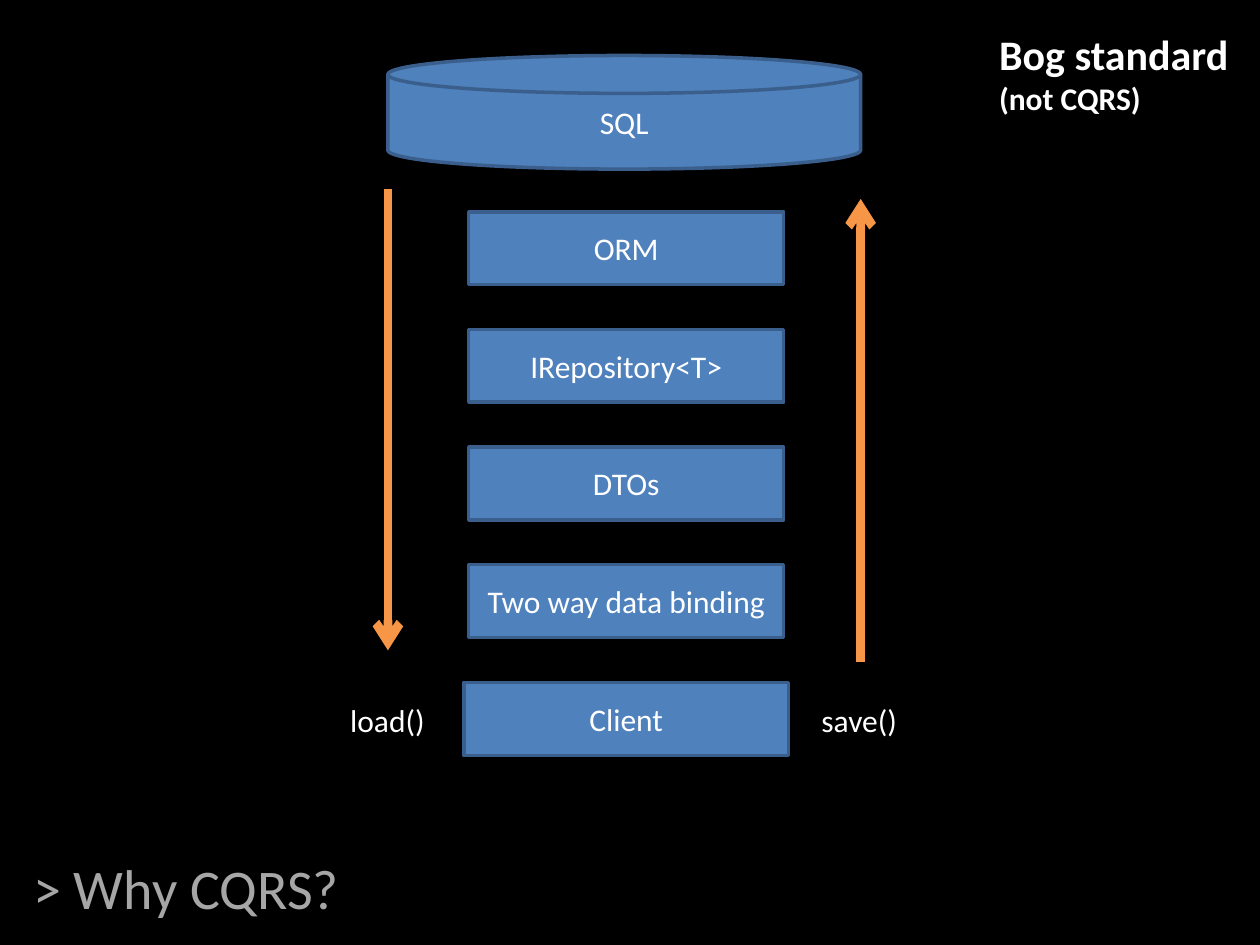
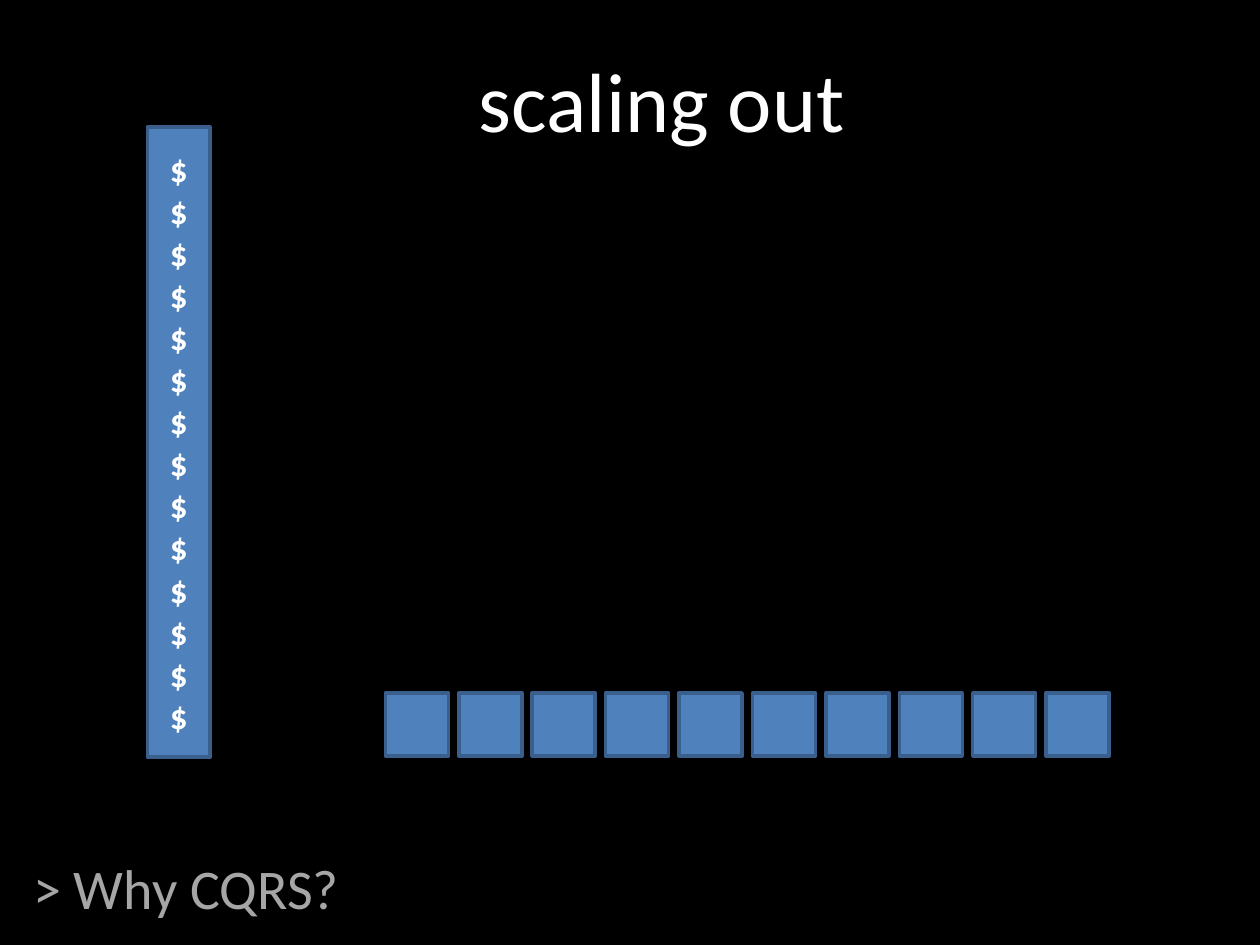
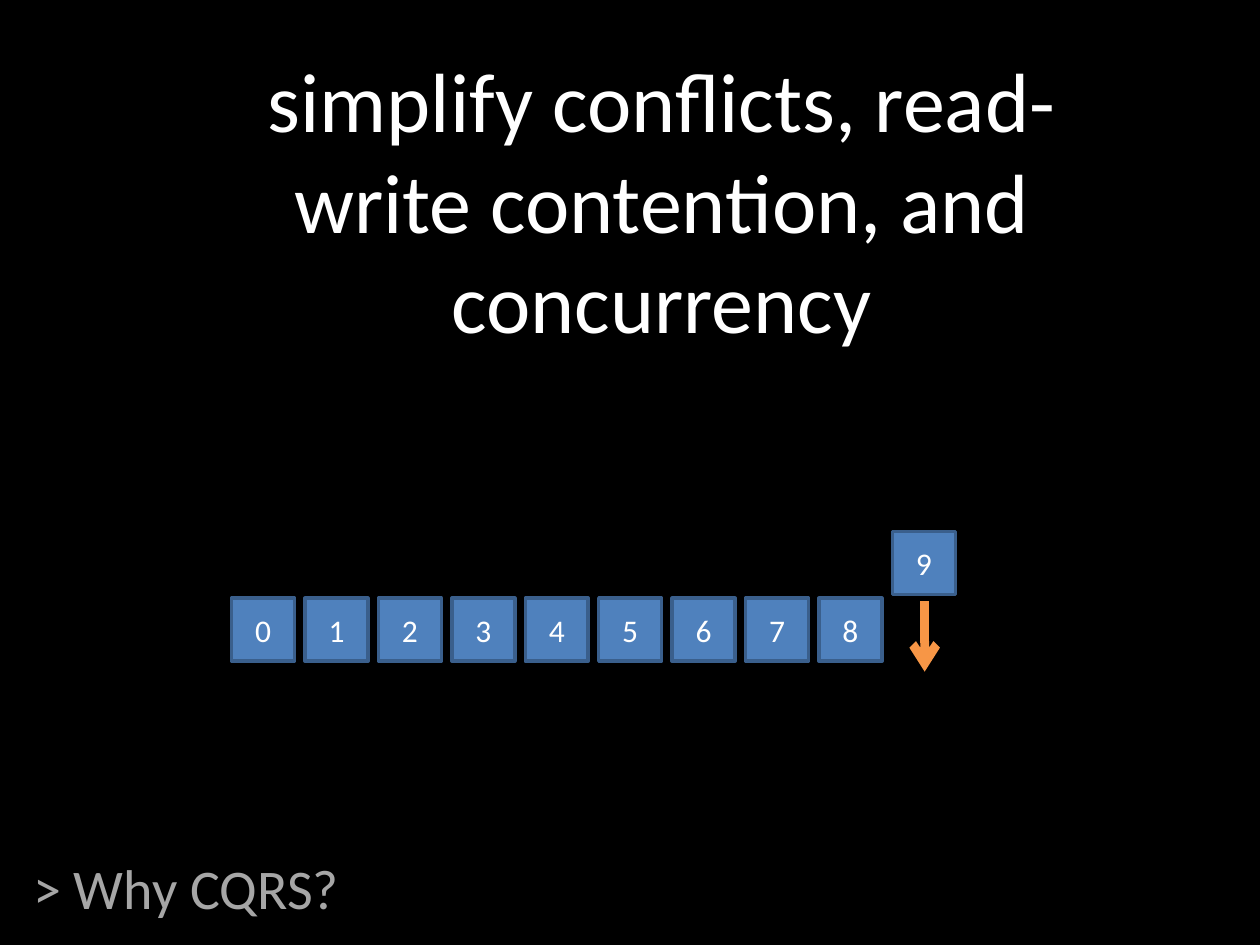
"""Build three slides on why CQRS helps."""
from lxml import etree
from pptx import Presentation
from pptx.dml.color import RGBColor
from pptx.enum.shapes import MSO_CONNECTOR, MSO_SHAPE
from pptx.enum.text import MSO_ANCHOR, MSO_AUTO_SIZE, PP_ALIGN
from pptx.oxml.ns import qn
from pptx.util import Cm, Pt

RECT = MSO_SHAPE.RECTANGLE
DISK = MSO_SHAPE.FLOWCHART_MAGNETIC_DISK
STRAIGHT = MSO_CONNECTOR.STRAIGHT
MIDDLE = MSO_ANCHOR.MIDDLE
GROW = MSO_AUTO_SIZE.SHAPE_TO_FIT_TEXT
LEFT, CENTER = PP_ALIGN.LEFT, PP_ALIGN.CENTER
TITLE_ONLY = 5

FONT = "Calibri"
BLACK, WHITE, GREY = "000000", "FFFFFF", "A6A6A6"
BLUE, NAVY, ORANGE = "4F81BD", "3A5F8C", "F79646"
SQUARE, PITCH = 1.27, 1.48


def rgb(value):
    """Turn a hex string into a colour."""
    return RGBColor.from_string(value)


class Deck:
    """Hold the style and the current slide."""

    def __init__(self):
        """Start a 4:3 deck with a black background."""
        self.prs = Presentation()
        self.prs.slide_width, self.prs.slide_height = Cm(25.4), Cm(19.05)
        fill = self.prs.slide_master.background.fill
        fill.solid()
        fill.fore_color.rgb = rgb(BLACK)

    def slide(self, title):
        """Add a slide with its title along the bottom."""
        self.s = self.prs.slides.add_slide(self.prs.slide_layouts[TITLE_ONLY])
        sp = self.s.shapes.title
        sp.left, sp.top, sp.width, sp.height = Cm(0.42), Cm(16.93), Cm(24.56), Cm(1.9)
        sp.text_frame.vertical_anchor = MIDDLE
        self.set_text(sp.text_frame, title, [32], GREY, LEFT)

    def set_text(self, tf, text, sizes, color=WHITE, align=CENTER, bold=False):
        """Fill a frame; the last size serves all further paragraphs."""
        tf.text = text
        for i, p in enumerate(tf.paragraphs):
            p.alignment = align
            for r in p.runs:
                r.font.name, r.font.bold = FONT, bold
                r.font.size = Pt(sizes[min(i, len(sizes) - 1)])
                r.font.color.rgb = rgb(color)

    def box(self, x, y, w, h, text="", kind=RECT, size=18, bold=False):
        """Add a blue shape with centred text."""
        sp = self.s.shapes.add_shape(kind, Cm(x), Cm(y), Cm(w), Cm(h))
        sp.shadow.inherit = False
        sp.fill.solid()
        sp.fill.fore_color.rgb = rgb(BLUE)
        sp.line.color.rgb = rgb(NAVY)
        sp.line.width = Pt(2)
        sp.text_frame.vertical_anchor = MIDDLE
        self.set_text(sp.text_frame, text, [size], bold=bold)

    def squares(self, x, y, labels):
        """Add a row of evenly spaced squares."""
        for i, label in enumerate(labels):
            self.box(x + i * PITCH, y, SQUARE, SQUARE, label)

    def label(self, x, y, w, h, text, sizes=(18,), bold=False):
        """Add a text box that does not wrap."""
        tf = self.s.shapes.add_textbox(Cm(x), Cm(y), Cm(w), Cm(h)).text_frame
        tf.word_wrap = False
        tf.auto_size = GROW
        self.set_text(tf, text, sizes, align=LEFT, bold=bold)

    def headline(self, text, h):
        """Add large centred text at the top, indented one level."""
        tf = self.s.shapes.add_textbox(Cm(2.12), Cm(0.85), Cm(21.17), Cm(h)).text_frame
        tf.word_wrap = True
        tf.auto_size = GROW
        self.set_text(tf, text, [48])
        p = tf.paragraphs[0]
        p.level = 1
        p._p.get_or_add_pPr().set("marL", str(Cm(1.27)))

    def arrow(self, x, y1, y2):
        """Add a thick vertical arrow from y1 to y2."""
        c = self.s.shapes.add_connector(STRAIGHT, Cm(x), Cm(y1), Cm(x), Cm(y2))
        c.line.color.rgb = rgb(ORANGE)
        c.line.width = Pt(5)
        etree.SubElement(c.line._get_or_add_ln(), qn("a:tailEnd"), type="arrow")
        etree.SubElement(c._element.spPr, qn("a:effectLst"))


def main():
    """Build and save the deck."""
    deck = Deck()
    title = "> Why CQRS?"

    deck.slide(title)
    deck.box(7.82, 1.12, 9.53, 2.29, "SQL", DISK)
    layers = ["ORM", "IRepository<T>", "DTOs", "Two way data binding"]
    for i, layer in enumerate(layers):
        deck.box(9.45, 4.27 + i * 2.37, 6.35, 1.47, layer)
    deck.box(9.35, 13.76, 6.55, 1.47, "Client")
    deck.arrow(7.82, 3.81, 13.11)
    deck.label(6.81, 14, 2.03, 1.02, "load()")
    deck.arrow(17.35, 13.34, 4.01)
    deck.label(16.31, 14, 2.11, 1.02, "save()")
    deck.label(19.89, 0.46, 5.18, 2.06, "Bog standard\n(not CQRS)", (24, 18), True)

    deck.slide(title)
    deck.headline("scaling out", 2.31)
    deck.box(2.97, 2.56, SQUARE, 12.7, "\n".join("$" * 14), size=20, bold=True)
    deck.squares(7.77, 13.97, [""] * 10)

    deck.slide(title)
    deck.headline("simplify conflicts, read-write contention, and concurrency", 8.46)
    deck.squares(4.67, 12.06, "012345678")
    deck.squares(4.67 + 9 * PITCH, 10.72, "9")
    deck.arrow(18.64, 12.12, 13.54)

    deck.prs.save("out.pptx")


if __name__ == "__main__":
    main()
